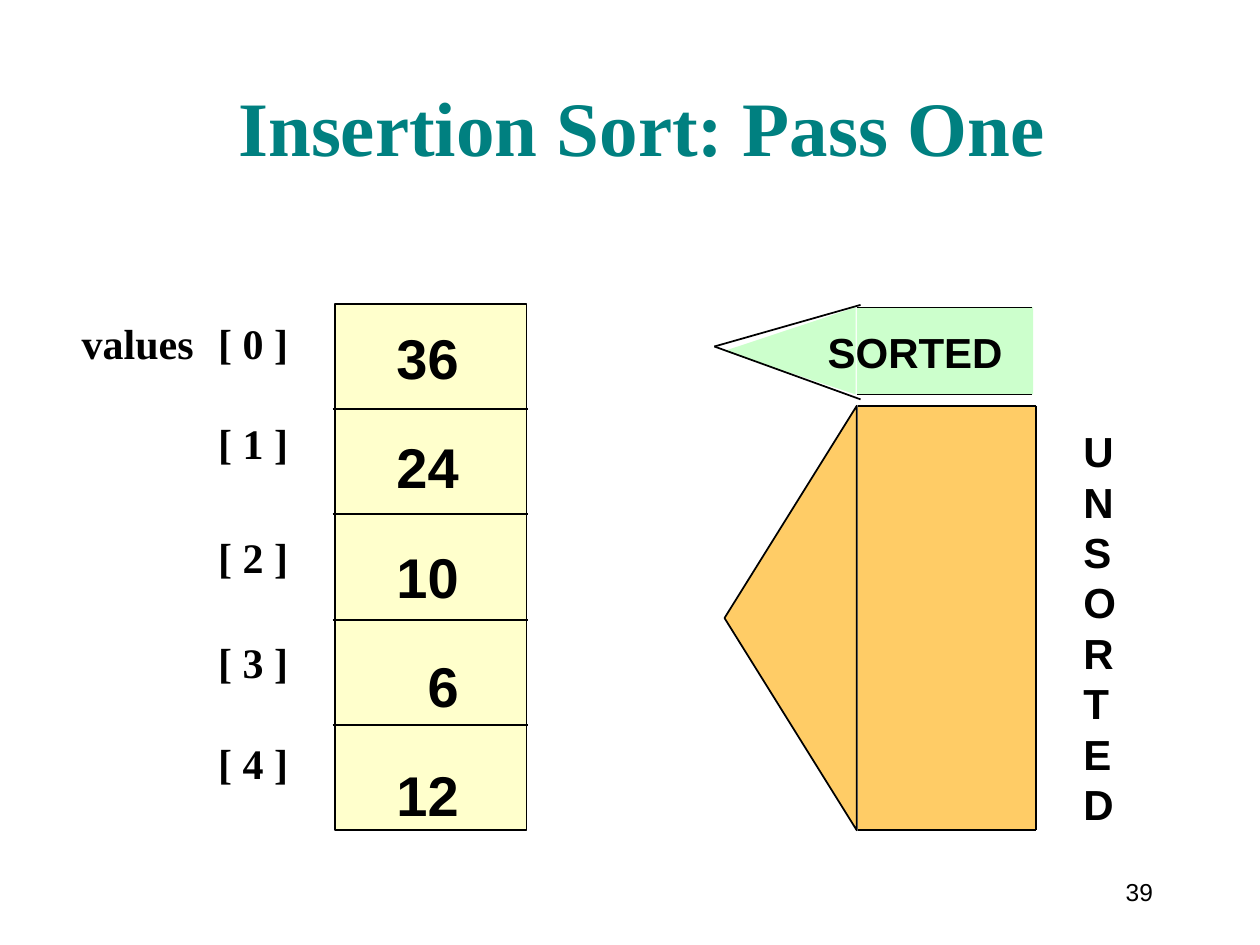
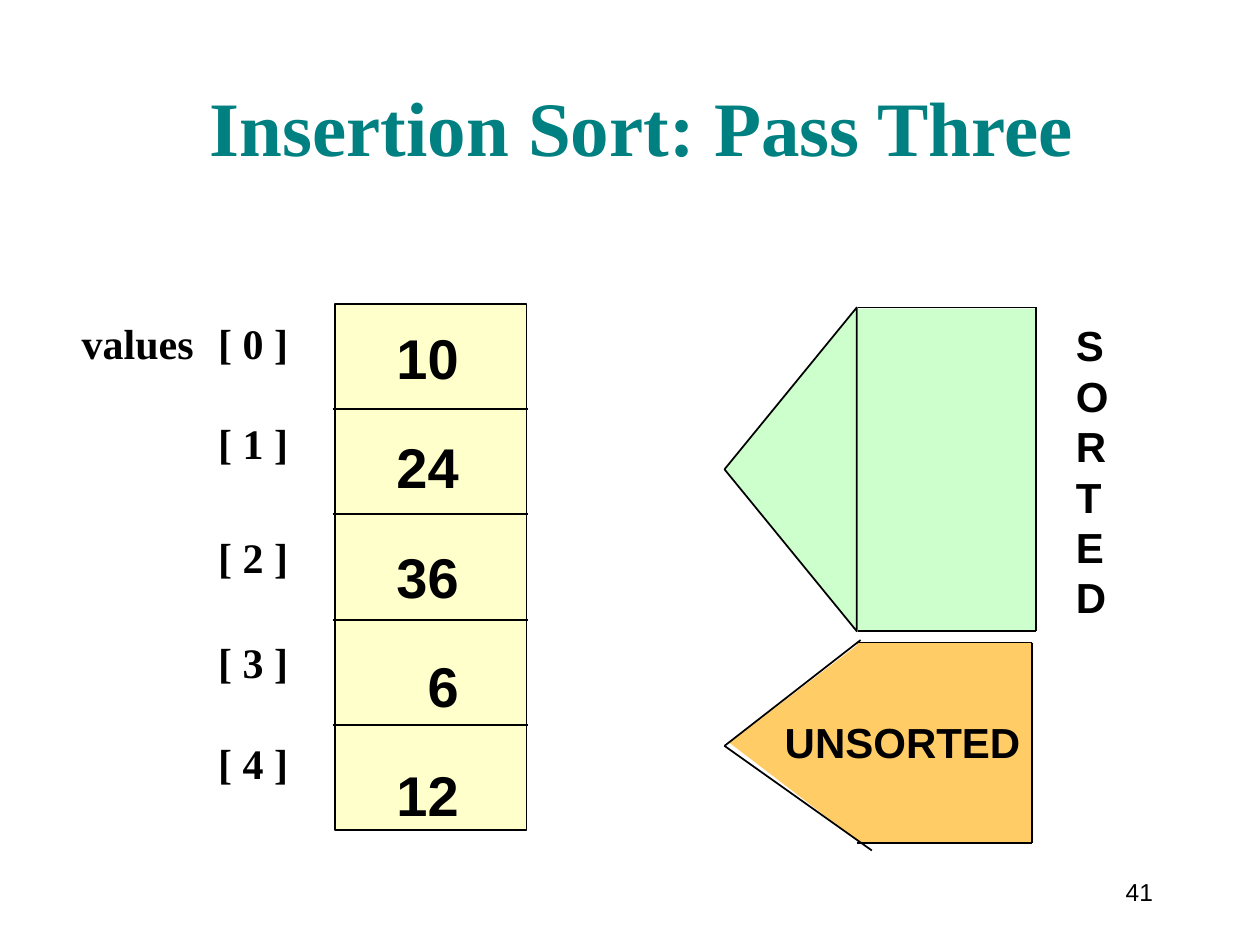
import dataclasses

import pptx
import pptx.dml.color
import pptx.enum.shapes
import pptx.enum.text
import pptx.oxml.ns
import pptx.util
from lxml import etree

EMU_PER_PX = 9144  # 100 px to the inch
LINE_HEIGHT = 1.2
SHAPE = pptx.enum.shapes.MSO_SHAPE
ALIGN = pptx.enum.text.PP_ALIGN
ANCHOR = pptx.enum.text.MSO_ANCHOR


@dataclasses.dataclass(frozen=True)
class Theme:
    serif: str = "Times New Roman"
    sans: str = "Arial"
    title_color: str = "008080"
    ink: str = "000000"
    cell: str = "FFFFCC"
    sorted_fill: str = "CCFFCC"
    unsorted_fill: str = "FFCC66"
    title_size: int = 44
    value_size: int = 32
    label_size: int = 24
    number_size: int = 14
    stroke: int = 1


THEME = Theme()
INDEX_GAPS = (0, 28.8, 36, 31.2, 28.8)
INDEX_TAB = 100
VALUE_GAP = 24


def px(*lengths):
    return [pptx.util.Emu(round(length * EMU_PER_PX)) for length in lengths]


def rgb(color):
    return pptx.dml.color.RGBColor.from_string(color)


def apply(target, formats):
    for name, value in formats.items():
        setattr(target, name, value)


def add_tab_stop(paragraph, position):
    qn = pptx.oxml.ns.qn
    properties = paragraph._p.get_or_add_pPr()
    stops = etree.SubElement(properties, qn("a:tabLst"))
    etree.SubElement(stops, qn("a:tab"), pos=str(px(position)[0]), algn="l")


def add_text(slide, box, lines, font, size, color=THEME.ink, bold=True,
             align=ALIGN.LEFT, anchor=ANCHOR.TOP, wrap=False, gaps=None, tab=None):
    """Write one paragraph per line; gaps are the points before each."""
    frame = slide.shapes.add_textbox(*px(*box)).text_frame
    apply(frame, {"word_wrap": wrap, "vertical_anchor": anchor})
    for index, line in enumerate(lines):
        paragraph = frame.paragraphs[0] if index == 0 else frame.add_paragraph()
        apply(paragraph, {
            "alignment": align,
            "line_spacing": pptx.util.Pt(size * LINE_HEIGHT),
            "space_before": pptx.util.Pt(gaps[index] if gaps else 0),
        })
        if tab:
            add_tab_stop(paragraph, tab)
        run = paragraph.add_run()
        run.text = line
        apply(run.font, {"name": font, "size": pptx.util.Pt(size), "bold": bold})
        run.font.color.rgb = rgb(color)


def add_filled(slide, kind, box, fill, outlined=False):
    shape = slide.shapes.add_shape(kind, *px(*box))
    shape.shadow.inherit = False
    shape.fill.solid()
    shape.fill.fore_color.rgb = rgb(fill)
    if outlined:
        shape.line.color.rgb = rgb(THEME.ink)
        shape.line.width = pptx.util.Pt(THEME.stroke)
    else:
        shape.line.fill.background()
    return shape


def add_left_triangle(slide, box, fill, outlined):
    """Fill the visible box with a triangle that points left."""
    left, top, width, height = box
    shift = (width - height) / 2
    unturned = (left + shift, top - shift, height, width)
    triangle = add_filled(slide, SHAPE.ISOSCELES_TRIANGLE, unturned, fill, outlined)
    triangle.rotation = 270


def add_line(slide, start, end):
    line = slide.shapes.add_connector(
        pptx.enum.shapes.MSO_CONNECTOR.STRAIGHT, *px(*start, *end))
    line.line.color.rgb = rgb(THEME.ink)
    line.line.width = pptx.util.Pt(THEME.stroke)
    properties = line._element.spPr
    etree.SubElement(properties, pptx.oxml.ns.qn("a:effectLst"))


def add_block_arrow(slide, head, body, fill, strokes, head_outlined):
    add_left_triangle(slide, head, fill, head_outlined)
    add_filled(slide, SHAPE.RECTANGLE, body, fill)
    for start, end in strokes:
        add_line(slide, start, end)


def add_framed_arrow(slide, top, bottom, fill):
    """Draw an arrow whose head is outlined and whose body is closed."""
    left, right = 681, 822
    strokes = [((left, top), (right, top)), ((left, bottom), (right, bottom)),
               ((right, top), (right, bottom))]
    add_block_arrow(slide, (575, top, 105, bottom - top),
                    (left, top + 1, right - left, bottom - top - 2),
                    fill, strokes, True)


def add_open_arrow(slide, top, bottom, head_left, tip, shoulders, fill, closed):
    """Draw an arrow whose head has two loose strokes from the tip."""
    left, right = 680, 819
    strokes = [((left, y), (right, y)) for y in (top, bottom)]
    if closed:
        strokes.append(((right, top), (right, bottom)))
    strokes += [(tip, shoulder) for shoulder in shoulders]
    add_block_arrow(slide, (head_left, top, 104, bottom - top),
                    (left, top, 140, bottom - top), fill, strokes, False)


def add_label(slide, box, lines):
    add_text(slide, box, lines, THEME.sans, THEME.label_size)


def add_values(slide, values):
    left, top, width, height = 266, 241, 152, 418
    indexes = [f"\t [ {index} ]" for index in range(len(values))]
    indexes[0] = "values" + indexes[0]
    add_text(slide, (55, 177, 243, 453), indexes, THEME.serif, THEME.label_size,
             anchor=ANCHOR.BOTTOM, wrap=True, gaps=INDEX_GAPS, tab=INDEX_TAB)
    add_filled(slide, SHAPE.RECTANGLE, (left, top, width, height), THEME.cell, True)
    for row in range(1, len(values)):
        y = top + row * height / len(values)
        add_line(slide, (left - 2, y), (left + width + 1, y))
    add_text(slide, (304, 252, 70, 410), [str(value) for value in values],
             THEME.sans, THEME.value_size, align=ALIGN.RIGHT,
             gaps=[0] + [VALUE_GAP] * (len(values) - 1))


def add_pass_slide(presentation, number, title, values):
    slide = presentation.slides.add_slide(presentation.slide_layouts[6])
    add_text(slide, (858, 683, 67, 50), [str(number)], THEME.sans,
             THEME.number_size, bold=False, align=ALIGN.RIGHT, anchor=ANCHOR.MIDDLE)
    add_text(slide, (153, 16, 728, 125), [f"Insertion Sort: {title} "], THEME.serif,
             THEME.title_size, THEME.title_color, align=ALIGN.CENTER,
             anchor=ANCHOR.BOTTOM, wrap=True)
    add_values(slide, values)
    return slide


def main():
    presentation = pptx.Presentation()
    presentation.slide_width, presentation.slide_height = px(1000, 750)

    pass_one = add_pass_slide(presentation, 39, "Pass One", (36, 24, 10, 6, 12))
    add_framed_arrow(pass_one, 322, 659, THEME.unsorted_fill)
    add_open_arrow(pass_one, 244, 313, 575, (567, 275), [(683, 242), (683, 317)],
                   THEME.sorted_fill, closed=False)
    add_label(pass_one, (647, 254, 159, 50), ["SORTED"])
    add_label(pass_one, (850, 333, 46, 330), "UNSORTED")

    pass_three = add_pass_slide(presentation, 41, "Pass Three", (10, 24, 36, 6, 12))
    add_open_arrow(pass_three, 510, 669, 579, (575, 592), [(683, 508), (692, 675)],
                   THEME.unsorted_fill, closed=True)
    add_label(pass_three, (613, 564, 207, 50), ["UNSORTED"])
    add_framed_arrow(pass_three, 244, 501, THEME.sorted_fill)
    add_label(pass_three, (844, 249, 46, 250), "SORTED")

    presentation.save("out.pptx")


if __name__ == "__main__":
    main()
